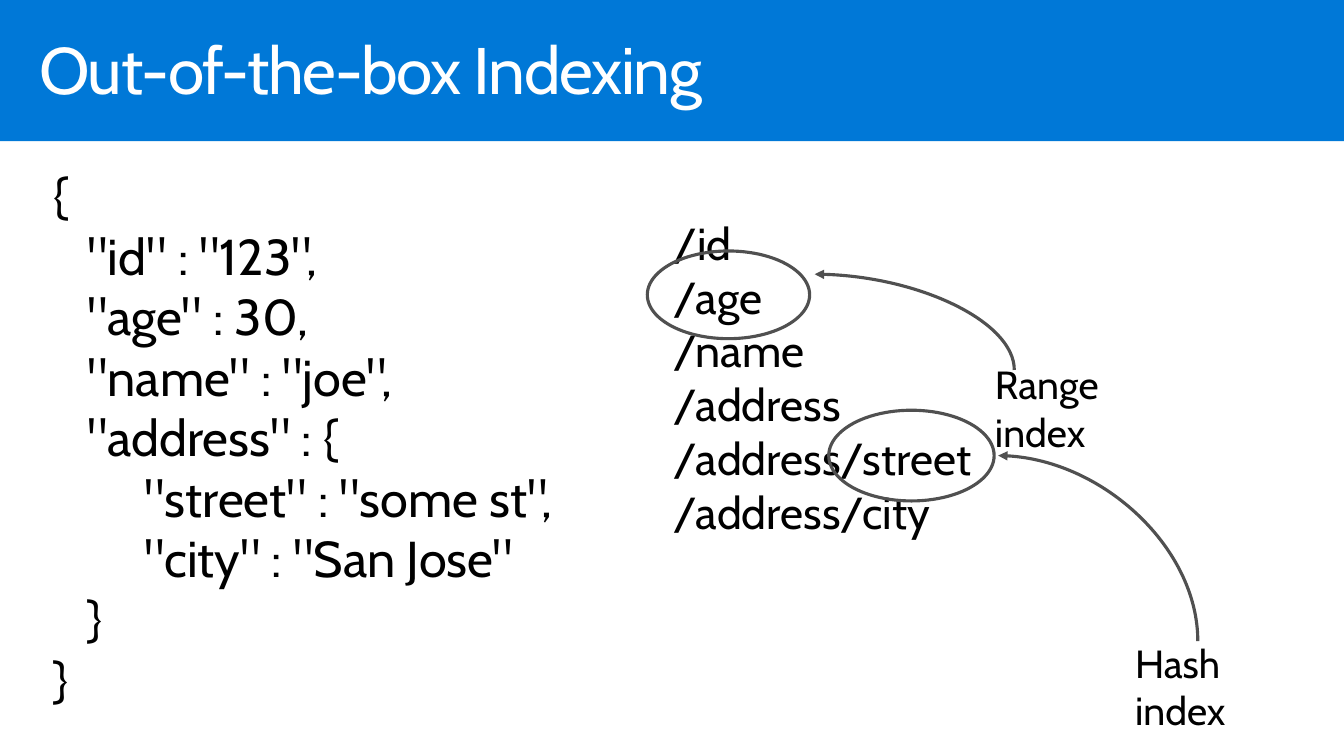
from pptx import Presentation
from pptx.dml.color import RGBColor
from pptx.enum.shapes import MSO_CONNECTOR as Connector, MSO_SHAPE as Shape
from pptx.oxml.ns import qn
from pptx.util import Inches, Pt
from lxml.etree import SubElement

# Content: lengths in inches, boxes are (left, top, width, height)
TITLE = "Out-of-the-box Indexing"
DOCUMENT = [  # (nesting level, line)
    (0, '{'),
    (1, '"id" : "123",'),
    (1, '"age" : 30,'),
    (1, '"name" : "joe",'),
    (1, '"address" : {'),
    (2, '"street" : "some st",'),
    (2, '"city" : "San Jose"'),
    (1, '}'),
    (0, '}'),
]
INDEX_PATHS = ["/id", "/age", "/name", "/address", "/address/street", "/address/city"]
INDEX_KINDS = [
    {"label": "Hash index", "label_box": (11.16, 6.29, 1.92, 0.57),
     "ring": (8.22, 4.07, 1.64, 0.9), "arrow": ((9.9, 4.52), (11.88, 6.36))},
    {"label": "Range index", "label_box": (9.77, 3.53, 2.11, 0.57),
     "ring": (6.42, 2.49, 1.61, 0.87), "arrow": ((8.08, 2.72), (10.06, 3.67))},
]
THEME = {
    "font": "Cabin",
    "banner": RGBColor(0x00, 0x78, 0xD7),
    "title": RGBColor(0xFF, 0xFF, 0xFF),
    "text": RGBColor(0x00, 0x00, 0x00),
    "mark": RGBColor(0x50, 0x50, 0x50),
    "title_size": 47, "document_size": 36, "path_size": 32, "label_size": 28,
    "mark_width": 2.25,
}
LEVEL_INDENTS = (0, 0.34, 0.91)

deck = Presentation()
deck.slide_width, deck.slide_height = Inches(13.33), Inches(7.5)
slide = deck.slides.add_slide(deck.slide_layouts[6])


def add_text(lines, box, size, color=THEME["text"], line_spacing=None, tracking=None):
    """Write (level, text) lines as paragraphs in one text box."""
    frame = slide.shapes.add_textbox(*map(Inches, box)).text_frame
    frame.word_wrap = True
    for number, (level, text) in enumerate(lines):
        paragraph = frame.add_paragraph() if number else frame.paragraphs[0]
        paragraph.line_spacing = line_spacing
        if level:
            paragraph._p.get_or_add_pPr().set("marL", str(Inches(LEVEL_INDENTS[level])))
        run = paragraph.add_run()
        run.text = text
        run.font.name, run.font.size = THEME["font"], Pt(size)
        run.font.color.rgb = color
        if tracking:
            run.font._element.set("spc", str(tracking * 100))


def style_mark(line):
    line.color.rgb = THEME["mark"]
    line.width = Pt(THEME["mark_width"])


def add_ring(box):
    ring = slide.shapes.add_shape(Shape.OVAL, *map(Inches, box))
    ring.shadow.inherit = False
    ring.fill.background()
    style_mark(ring.line)


def add_arrow(tip, base):
    """Quarter curve that leaves the tip sideways and drops to the base."""
    arrow = slide.shapes.add_connector(Connector.CURVE, *map(Inches, tip + base))
    style_mark(arrow.line)
    properties = arrow._element.spPr
    properties.find(qn("a:prstGeom")).set("prst", "curvedConnector2")
    SubElement(properties.find(qn("a:ln")), qn("a:headEnd"), type="triangle")
    SubElement(properties, qn("a:effectLst"))


# Title banner
banner = slide.shapes.add_shape(Shape.RECTANGLE, 0, 0, deck.slide_width, Inches(1.4))
banner.shadow.inherit = False
banner.fill.solid()
banner.fill.fore_color.rgb = THEME["banner"]
banner.line.fill.background()
add_text([(0, TITLE)], (0.29, 0.32, 12.84, 1.67), THEME["title_size"],
         color=THEME["title"], line_spacing=0.9, tracking=-1)

# Document and its indexed paths
add_text(DOCUMENT, (0.43, 1.58, 5.74, 5.55), THEME["document_size"])
add_text([(0, path) for path in INDEX_PATHS], (6.58, 2.09, 5.68, 3.33), THEME["path_size"])

# Index kinds, each pointing at its ringed path
for kind in INDEX_KINDS:
    add_arrow(*kind["arrow"])
    add_text([(0, kind["label"])], kind["label_box"], THEME["label_size"])
    add_ring(kind["ring"])

deck.save("out.pptx")
